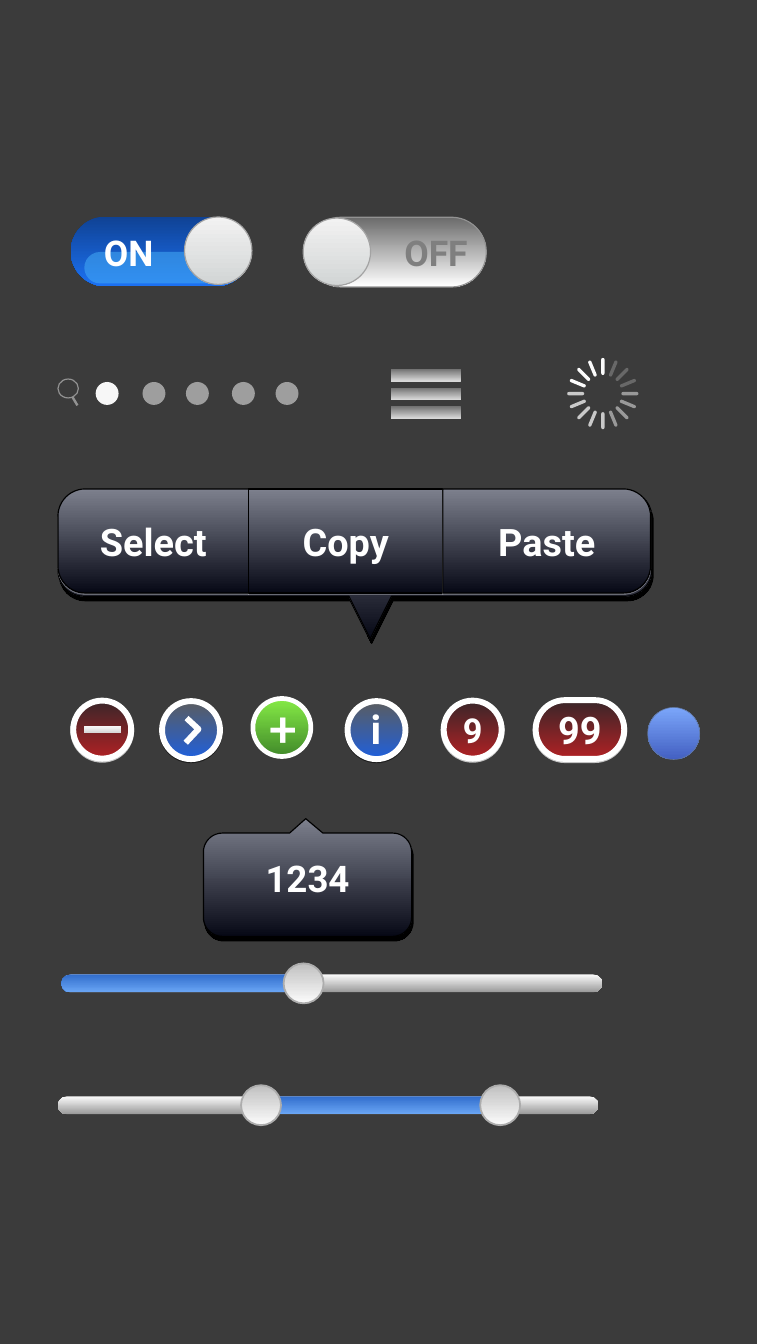
from math import cos, hypot, pi, radians, sin

from lxml import etree
from pptx import Presentation
from pptx.dml.color import RGBColor
from pptx.enum.shapes import MSO_CONNECTOR, MSO_SHAPE
from pptx.enum.text import MSO_ANCHOR, PP_ALIGN
from pptx.oxml.ns import qn
from pptx.util import Pt

OVAL, PILL = MSO_SHAPE.OVAL, MSO_SHAPE.ROUNDED_RECTANGLE
RECT, LINE = MSO_SHAPE.RECTANGLE, MSO_CONNECTOR.STRAIGHT
MID, MIDDLE, RIGHT = MSO_ANCHOR.MIDDLE, PP_ALIGN.CENTER, PP_ALIGN.RIGHT

# Colours
rgb = RGBColor.from_string
WHITE, BLACK, BACK = rgb("FFFFFF"), rgb("000000"), rgb("3B3B3B")
PALE, SPOKE, GLOSS = rgb("F7F7F7"), rgb("FBFBFB"), rgb("43A9F4")
GREY, EDGE, RIM = rgb("929292"), rgb("A3A3A3"), rgb("ADADAD")
DIM, STEEL = rgb("7F7F7F"), rgb("60769F")

# Gradients, top to bottom
NIGHT = rgb("7D808D"), rgb("070916")
RED = rgb("392629"), rgb("B02124")
BLUE = rgb("5B5D5F"), rgb("1F5FDB")
GREEN = rgb("86EB46"), rgb("418A2A")
SKY = rgb("7BA6FA"), rgb("4360C2")
ON = rgb("0F4294"), rgb("1C71F2")
OFF = rgb("6B6B6B"), WHITE
KNOB = rgb("F2F2F2"), rgb("D2D5D5")
BALL = rgb("C0C0C0"), SPOKE
TRACK = SPOKE, rgb("9A9A9A")
FILLED = rgb("316DCC"), rgb("69A5F4")
MENU = rgb("707070"), rgb("D8D8D8")
DASH = SPOKE, rgb("D8D8D8")

# Shadows: colour, opacity, distance, angle
DROP = BLACK, 100, 4, 72
SHEEN = WHITE, 30, 1, 90
GLOW = WHITE, 70, 1, 90
SHADE = BLACK, 50, 1, 90


def child(parent, tag, **attrs):
    return etree.SubElement(parent, qn(tag), {k: str(v) for k, v in attrs.items()})


def paint(shape, fill=None, line=None, width=1, alpha=100, shadow=None):
    if fill is None:
        shape.fill.background()
    elif isinstance(fill, RGBColor):
        shape.fill.solid()
        shape.fill.fore_color.rgb = fill
        if alpha < 100:
            tint = shape.element.spPr.find(qn("a:solidFill"))[0]
            child(tint, "a:alpha", val=alpha * 1000)
    else:
        shape.fill.gradient()
        shape.fill.gradient_angle = 270
        for stop, color, place in zip(shape.fill.gradient_stops, fill, (0, 1)):
            stop.color.rgb, stop.position = color, place
    if line is None:
        shape.line.fill.background()
    else:
        shape.line.color.rgb = line
        shape.line.width = Pt(width)
    shape.shadow.inherit = False
    if shadow:
        color, cover, dist, angle = shadow
        effects = shape.element.spPr.find(qn("a:effectLst"))
        outer = child(effects, "a:outerShdw", blurRad=0, dist=Pt(dist),
                      dir=angle * 60000, algn="ctr", rotWithShape=0)
        tint = child(outer, "a:srgbClr", val=color)
        child(tint, "a:alpha", val=cover * 1000)
    return shape


def add(slide, kind, x, y, w, h, fill=None, **style):
    shape = slide.shapes.add_shape(kind, Pt(x), Pt(y), Pt(w), Pt(h))
    if kind == PILL:
        shape.adjustments[0] = 0.5
    return paint(shape, fill, **style)


def draw(slide, points, close=True, **style):
    """Draw an outline of (x, y, radius) corners."""
    path = []
    for i, (x, y, r) in enumerate(points):
        if not r:
            path.append((x, y))
            continue
        legs = []
        for nx, ny, _ in (points[i - 1], points[(i + 1) % len(points)]):
            size = hypot(nx - x, ny - y)
            legs.append((r * (nx - x) / size, r * (ny - y) / size))
        (ax, ay), (bx, by) = legs
        for step in range(13):
            turn = pi / 2 * step / 12
            a, b = 1 - sin(turn), 1 - cos(turn)
            path.append((x + a * ax + b * bx, y + a * ay + b * by))
    spots = [(Pt(x), Pt(y)) for x, y in path]
    pen = slide.shapes.build_freeform(*spots[0])
    pen.add_line_segments(spots[1:], close=close)
    return paint(pen.convert_to_shape(), **style)


def write(shape, text, size, inset=0, color=WHITE, align=MIDDLE, face="Roboto", before=0):
    frame = shape.text_frame
    layout = {"word_wrap": True, "vertical_anchor": MID}
    layout.update({"margin_" + side: Pt(inset) for side in ("left", "top", "right", "bottom")})
    for key, value in layout.items():
        setattr(frame, key, value)
    par = frame.paragraphs[0]
    par.alignment, par.space_before = align, Pt(before)
    run = par.add_run()
    run.text = text
    for key, value in {"size": Pt(size), "name": face, "bold": True}.items():
        setattr(run.font, key, value)
    run.font.color.rgb = color


def label(slide, x, y, w, h, text, size, **style):
    write(slide.shapes.add_textbox(Pt(x), Pt(y), Pt(w), Pt(h)), text, size, 4.3, **style)


def badge(slide, x, y, fill, shadow=None, width=5):
    return add(slide, OVAL, x, y, 49, 49, fill, line=WHITE, width=width, shadow=shadow)


def slider(slide, y, start, fill_x, knobs):
    add(slide, PILL, start, y, 457, 15, TRACK)
    add(slide, PILL, fill_x, y, 214, 15, FILLED)
    for x in knobs:
        add(slide, OVAL, x, y - 9.4, 33.8, 33.8, BALL, line=RIM, width=1.5)


def switches(slide):
    add(slide, PILL, 59.8, 183, 152, 59, ON)
    add(slide, PILL, 71.3, 213, 132.5, 26.6, GLOSS, alpha=57)
    add(slide, OVAL, 156, 183.4, 57, 57, KNOB, line=EDGE)
    label(slide, 77, 188, 63.4, 51, "ON", 30)
    off = add(slide, PILL, 259.2, 183.6, 152, 59, OFF, line=GREY)
    write(off, "OFF", 30, 7.2, DIM, RIGHT)
    add(slide, OVAL, 256.3, 184.3, 57, 57, KNOB, line=EDGE)


def icons(slide):
    # Page dots
    for i, x in enumerate((80.9, 120.5, 157.2, 196.1, 233)):
        add(slide, OVAL, x, 322.9, 19.4, 19.4, PALE, alpha=53 if i else 100)
    # Search
    add(slide, OVAL, 49, 320.4, 17.3, 16, line=GREY)
    handle = slide.shapes.add_connector(LINE, Pt(61.2), Pt(335.5), Pt(65.5), Pt(342.7))
    handle.line.color.rgb, handle.line.width = GREY, Pt(2)
    child(handle.element.spPr, "a:effectLst")
    # Menu
    for i in range(3):
        add(slide, RECT, 330.5, 311.8 + 15.8 * i, 59, 10.3, MENU)
    # Spinner
    fades = [100] + [24] * 3 + [49] * 4 + [74] * 5 + [100] * 3
    for i, alpha in enumerate(fades):
        angle = 22.5 * i
        x, y = 509.7 + 22.9 * sin(radians(angle)), 332.7 - 22.9 * cos(radians(angle))
        spoke = add(slide, PILL, x - 7.2, y - 1.4, 14.4, 2.8, SPOKE, alpha=alpha)
        spoke.rotation = (angle - 90) % 180


def menu(slide):
    draw(slide, [(49, 415, 22), (551, 415, 22), (551, 504, 22), (331, 504, 0),
                 (313, 540, 0), (295, 504, 0), (49, 504, 22)],
         fill=NIGHT, line=BLACK, shadow=DROP)
    edges = 49, 210.2, 374.4, 550
    for i, text in enumerate(("Select", "Copy", "Paste")):
        a, b = edges[i:i + 2]
        left, right = (23 if i == 0 else 0), (23 if i == 2 else 0)
        part = draw(slide, [(a, 413.3, left), (b, 413.3, right), (b, 501.2, right),
                            (a, 501.2, left)], fill=NIGHT, line=BLACK, shadow=SHEEN)
        write(part, text, 32, before=5)


def badges(slide):
    badge(slide, 61.9, 592.2, RED, GLOW)
    add(slide, RECT, 71.3, 613.4, 31, 6, DASH)
    badge(slide, 137, 592.6, BLUE, SHADE)
    draw(slide, [(157, 627.8, 0), (167.8, 616.3, 0), (157.7, 607, 0)],
         close=False, line=WHITE, width=5)
    badge(slide, 213.8, 590.4, GREEN, width=4)
    label(slide, 214.6, 577.4, 49, 72.7, "+", 45, face="Calibri")
    badge(slide, 293.8, 592.6, BLUE, SHADE)
    label(slide, 308.9, 591.8, 18, 48.2, "i", 34)
    write(badge(slide, 375.1, 592.2, RED, GLOW), "9", 29, 2.2)
    pill = add(slide, PILL, 452.9, 591.8, 74.9, 49.7, RED, line=WHITE, width=5, shadow=GLOW)
    write(pill, "99", 32, 2.2)
    add(slide, OVAL, 547.6, 598, 44, 44, SKY, line=STEEL, width=0.5)


def tip(slide):
    box = draw(slide, [(258.5, 692, 0), (273, 704.2, 0), (348, 704.2, 16),
                       (348, 791.5, 16), (172, 791.5, 16), (172, 704.2, 16),
                       (244.8, 704.2, 0)], fill=NIGHT, line=BLACK, shadow=DROP)
    write(box, "1234", 31, 5.8, before=5)


def main():
    deck = Presentation()
    deck.slide_width, deck.slide_height = Pt(640), Pt(1136)
    slide = deck.slides.add_slide(deck.slide_layouts[6])
    slide.background.fill.solid()
    slide.background.fill.fore_color.rgb = BACK
    icons(slide)
    menu(slide)
    switches(slide)
    badges(slide)
    slider(slide, 823.7, 52.3, 51.8, [239.8])
    tip(slide)
    slider(slide, 926.7, 49, 218.2, [406, 203.8])
    deck.save("out.pptx")


if __name__ == "__main__":
    main()
